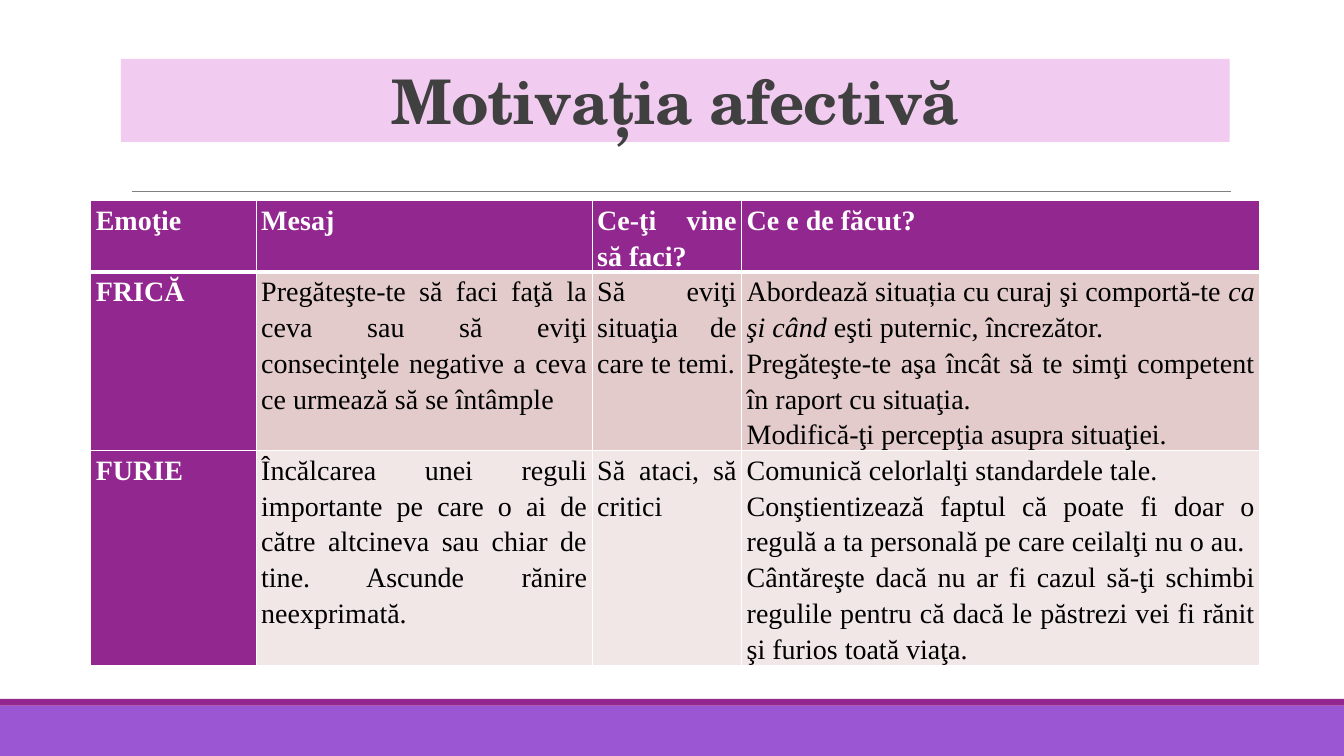
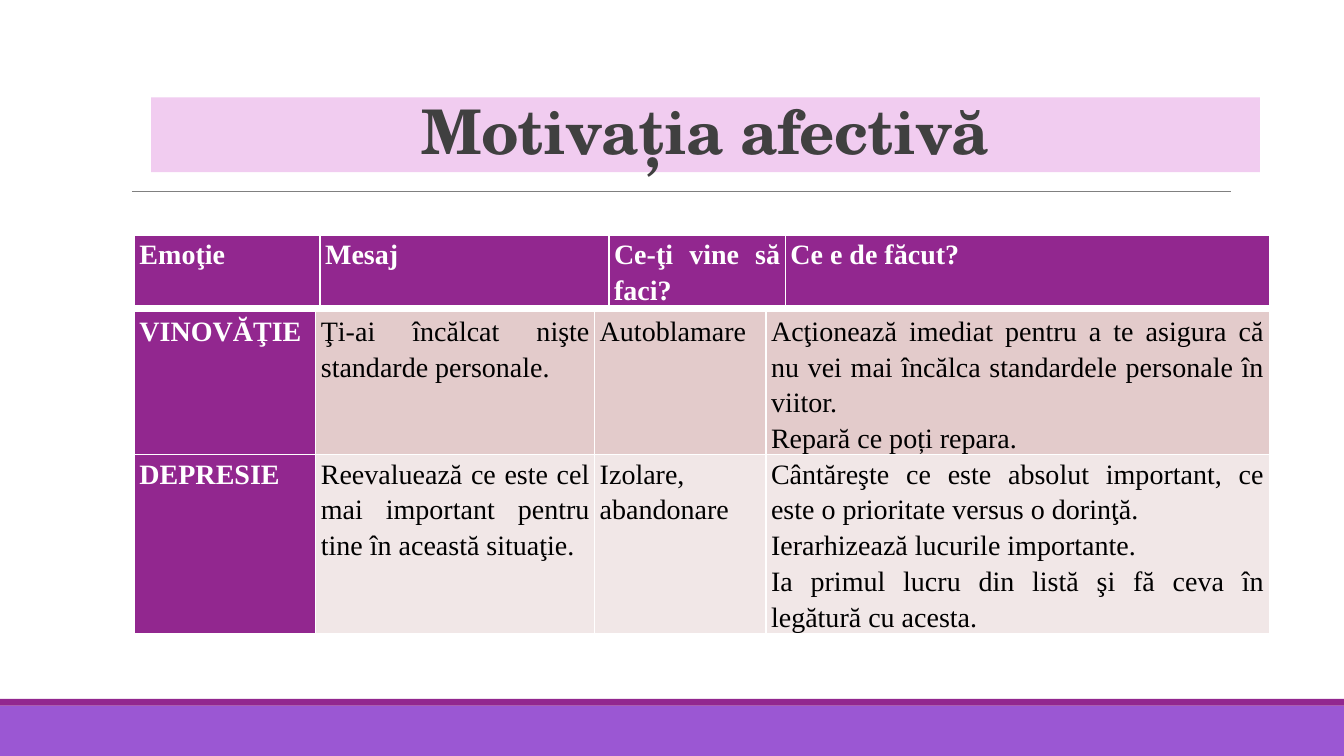
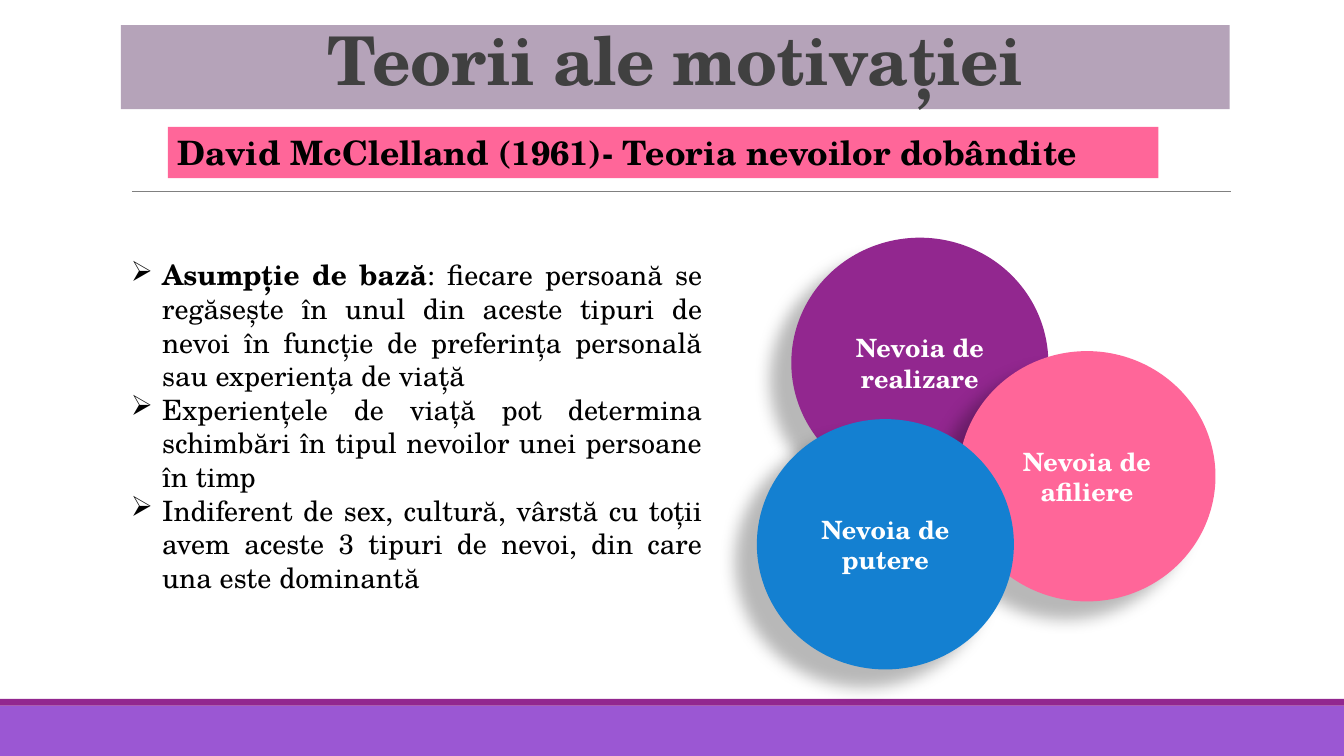
import pptx
import pptx.util
import pptx.dml.color
import pptx.enum.shapes
import pptx.enum.text
import pptx.oxml.ns
from lxml import etree

Pt = pptx.util.Pt
qn = pptx.oxml.ns.qn
Align = pptx.enum.text.PP_ALIGN
Anchor = pptx.enum.text.MSO_ANCHOR
Kind = pptx.enum.shapes.MSO_SHAPE

HUES = {
    "white": "FFFFFF", "black": "000000", "ink": "404040", "gray": "808080",
    "plum": "92278F", "violet": "9B57D3", "lilac": "F1CCF0", "mauve": "B5A3B9",
    "pink": "FF6699", "blue": "1480D1", "rose": "E3CBCB", "pale": "F1E7E7",
}
SERIF = "TeX Gyre Schola"
ROMAN = "Times New Roman"
COLS, ROWS = 160, 90
HEADS = ["Emoţie", "Mesaj", "Ce-ţi vine să faci?", "Ce e de făcut?"]


def tint(name):
    return pptx.dml.color.RGBColor.from_string(HUES[name])


class Deck:
    def __init__(self):
        self.prs = pptx.Presentation()
        self.prs.slide_width = pptx.util.Inches(13.333)
        self.prs.slide_height = pptx.util.Inches(7.5)
        self.slide = None

    def x(self, cols):
        return round(self.prs.slide_width * cols / COLS)

    def y(self, rows):
        return round(self.prs.slide_height * rows / ROWS)

    def spot(self, left, top, width, height):
        return self.x(left), self.y(top), self.x(width), self.y(height)

    def start(self):
        self.slide = self.prs.slides.add_slide(self.prs.slide_layouts[6])
        self.box((0, 84, 160, 6), "violet")
        self.box((0, 83.2, 160, 0.8), "plum")
        self.rule(15.7, 146.5, 22.8)

    def rule(self, left, right, row):
        line = self.slide.shapes.add_connector(
            pptx.enum.shapes.MSO_CONNECTOR.STRAIGHT,
            self.x(left), self.y(row), self.x(right), self.y(row))
        line.line.color.rgb = tint("gray")
        line.line.width = Pt(0.5)
        etree.SubElement(line._element.spPr, qn("a:effectLst"))

    def box(self, area, hue, kind=Kind.RECTANGLE):
        shape = self.slide.shapes.add_shape(kind, *self.spot(*area))
        shape.shadow.inherit = False
        shape.fill.solid()
        shape.fill.fore_color.rgb = tint(hue)
        shape.line.fill.background()
        return shape

    def fill(self, frame, paras, size, hue, font=SERIF, bold=False,
             align=Align.LEFT, space=None, mark=None, track=None):
        frame.word_wrap = True
        for index, text in enumerate(paras):
            para = frame.add_paragraph() if index else frame.paragraphs[0]
            para.alignment = align
            if space:
                para.line_spacing = space
            if mark:
                self.bullet(para, mark)
            for part, words in enumerate(text.split("*")):
                if not words:
                    continue
                accent = part % 2 == 1
                run = para.add_run()
                run.text = words
                run.font.size = Pt(size)
                run.font.name = font
                run.font.bold = bold or (accent and font == SERIF)
                run.font.italic = accent and font == ROMAN
                run.font.color.rgb = tint(hue)
                if track:
                    run._r.get_or_add_rPr().set("spc", str(track))

    def bullet(self, para, mark):
        props = para._p.get_or_add_pPr()
        indent = pptx.util.Inches(0.31)
        props.set("marL", str(indent))
        props.set("indent", str(-indent))
        etree.SubElement(props, qn("a:buChar")).set("char", mark)

    def title(self, area, text, hue="lilac", size=44, anchor=Anchor.BOTTOM):
        frame = self.box(area, hue).text_frame
        frame.vertical_anchor = anchor
        self.fill(frame, [text], size, "ink", bold=True,
                  align=Align.CENTER, space=0.85, track=-50)

    def label(self, area, text, hue):
        frame = self.box(area, hue).text_frame
        frame.vertical_anchor = Anchor.TOP
        self.fill(frame, [text], 24, "black", bold=True)

    def bullets(self, area, paras):
        frame = self.slide.shapes.add_textbox(*self.spot(*area)).text_frame
        self.fill(frame, paras, 20, "black", align=Align.JUSTIFY, mark="➢")

    def disc(self, left, top, text, hue):
        shape = self.box((left, top, 30.6, 29.8), hue, Kind.OVAL)
        shape.text_frame.vertical_anchor = Anchor.MIDDLE
        self.fill(shape.text_frame, [text], 18, "white", bold=True, align=Align.CENTER)
        effects = shape._element.spPr.find(qn("a:effectLst"))
        shade = etree.SubElement(effects, qn("a:outerShdw"), {
            "blurRad": str(Pt(11.8)), "dist": str(Pt(19.7)),
            "dir": str(141 * 60000), "rotWithShape": "0"})
        color = etree.SubElement(shade, qn("a:srgbClr"), val=HUES["black"])
        etree.SubElement(color, qn("a:alpha"), val="28000")

    def edge(self, cell, side, width):
        line = etree.SubElement(cell._tc.get_or_add_tcPr(), qn("a:ln" + side),
                                w=str(Pt(width)))
        paint = etree.SubElement(line, qn("a:solidFill"))
        etree.SubElement(paint, qn("a:srgbClr"), val=HUES["white"])

    def table(self, left, top, cols, rows, data):
        grid = self.slide.shapes.add_table(
            len(rows), len(cols), *self.spot(left, top, sum(cols), sum(rows))).table
        grid.first_row = grid.horz_banding = False
        for col, width in zip(grid.columns, cols):
            col.width = self.x(width)
        for row, height in zip(grid.rows, rows):
            row.height = self.y(height)
        headed = data[0] is HEADS
        for r, line in enumerate(data):
            for c, text in enumerate(line):
                self.cell(grid.cell(r, c), text, r, c, headed)

    def cell(self, cell, text, r, c, headed):
        dark = c == 0 or (headed and r == 0)
        heavy = {"T": 1, "B": 0}
        for side in "LRTB":
            thick = headed and heavy.get(side) == r
            self.edge(cell, side, 3 if thick else 1)
        cell.margin_left = cell.margin_right = pptx.util.Inches(0.05)
        cell.margin_top = cell.margin_bottom = 0
        cell.fill.solid()
        band = "pale" if (r - headed) % 2 else "rose"
        cell.fill.fore_color.rgb = tint("plum" if dark else band)
        self.fill(cell.text_frame, text.split("\n"), 20, "white" if dark else "black",
                  font=ROMAN, bold=dark, align=Align.JUSTIFY, space=1.15)


def main():
    deck = Deck()

    deck.start()
    deck.title((14.4, 7, 132, 9.9), "Motivația afectivă")
    deck.table(10.8, 23.9, [19.7, 40, 17.8, 61.7], [8.4, 21.2, 25.6], [
        HEADS,
        ["FRICĂ",
         "Pregăteşte-te să faci faţă la ceva sau să eviţi consecinţele negative "
         "a ceva ce urmează să se întâmple",
         "Să eviţi situaţia de care te temi.",
         "Abordează situația cu curaj şi comportă-te *ca şi când *eşti puternic, încrezător.\n"
         "Pregăteşte-te aşa încât să te simţi competent în raport cu situaţia.\n"
         "Modifică-ţi percepţia asupra situaţiei."],
        ["FURIE",
         "Încălcarea unei reguli importante pe care o ai de către altcineva "
         "sau chiar de tine. Ascunde rănire neexprimată.",
         "Să ataci, să critici",
         "Comunică celorlalţi standardele tale.\n"
         "Conştientizează faptul că poate fi doar o regulă a ta personală "
         "pe care ceilalţi nu o au.\n"
         "Cântăreşte dacă nu ar fi cazul să-ţi schimbi regulile pentru că "
         "dacă le păstrezi vei fi rănit şi furios toată viaţa."],
    ])

    deck.start()
    deck.table(16, 37.1, [21.6, 33.2, 20.4, 59.9], [17, 21.2], [
        ["VINOVĂŢIE",
         "Ţi-ai încălcat nişte standarde personale.",
         "Autoblamare",
         "Acţionează imediat pentru a te asigura că nu vei mai încălca "
         "standardele personale în viitor.\n"
         "Repară ce poți repara."],
        ["DEPRESIE",
         "Reevaluează ce este cel mai important pentru tine în această situaţie.",
         "Izolare, abandonare",
         "Cântăreşte ce este absolut important, ce este o prioritate versus o dorinţă.\n"
         "Ierarhizează lucurile importante.\n"
         "Ia primul lucru din listă şi fă ceva în legătură cu acesta."],
    ])
    deck.title((18, 11.6, 132, 8.9), "Motivația afectivă")
    deck.table(16, 28, [22.1, 34.4, 21, 57.6], [8.4], [HEADS])

    deck.start()
    deck.title((14.4, 3, 132, 10), "Teorii ale motivației", "mauve", 48, Anchor.TOP)
    deck.label((20, 15.1, 117.9, 6.1),
               "David McClelland (1961)- Teoria nevoilor dobândite", "pink")
    for left, top, text, hue in [
        (94.2, 28.3, "Nevoia de realizare", "plum"),
        (114.1, 41.8, "Nevoia de afiliere", "pink"),
        (90.1, 49.9, "Nevoia de putere", "blue"),
    ]:
        deck.disc(left, top, text, hue)
    deck.bullets((14.4, 30.1, 70.4, 41.6), [
        "*Asumpție de bază*: fiecare persoană se regăsește în unul din aceste tipuri "
        "de nevoi în funcție de preferința personală sau experiența de viață",
        "Experiențele de viață pot determina schimbări în tipul nevoilor "
        "unei persoane în timp",
        "Indiferent de sex, cultură, vârstă cu toții avem aceste 3 tipuri de nevoi, "
        "din care una este dominantă",
    ])

    deck.prs.save("out.pptx")


if __name__ == "__main__":
    main()
